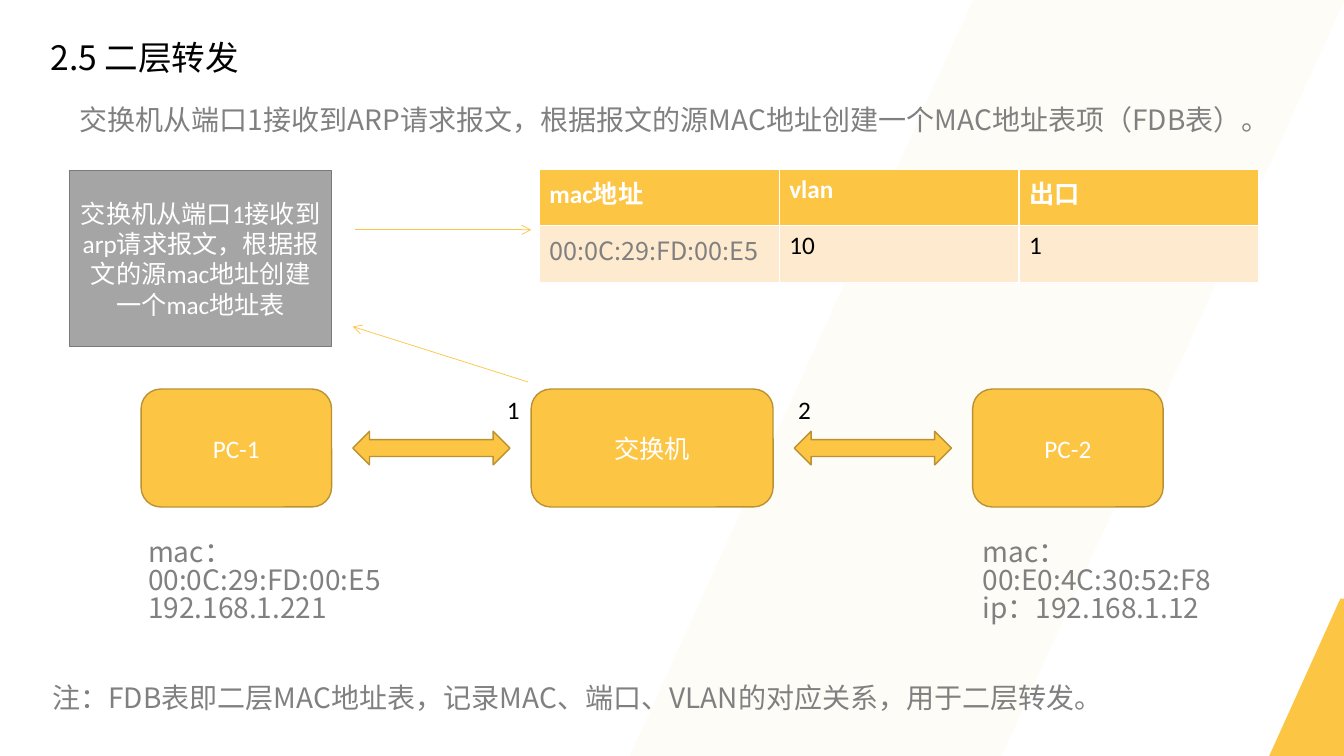
"""Builds the layer-2 forwarding slide: two PCs, a switch and its MAC address table."""
from dataclasses import dataclass
from typing import Optional

from lxml import etree
from pptx import Presentation
from pptx.dml.color import RGBColor
from pptx.enum.shapes import MSO_CONNECTOR, MSO_SHAPE
from pptx.enum.text import MSO_ANCHOR, MSO_AUTO_SIZE, PP_ALIGN
from pptx.oxml.ns import qn
from pptx.util import Inches, Pt

RECTANGLE = MSO_SHAPE.RECTANGLE
ROUNDED = MSO_SHAPE.ROUNDED_RECTANGLE
DOUBLE_ARROW = MSO_SHAPE.LEFT_RIGHT_ARROW
PARALLELOGRAM = MSO_SHAPE.PARALLELOGRAM
STRAIGHT = MSO_CONNECTOR.STRAIGHT
TOP, MIDDLE = MSO_ANCHOR.TOP, MSO_ANCHOR.MIDDLE
LEFT, CENTER = PP_ALIGN.LEFT, PP_ALIGN.CENTER
FIT_TEXT = MSO_AUTO_SIZE.SHAPE_TO_FIT_TEXT

SLIDE_WIDTH, SLIDE_HEIGHT = Inches(13.333), Inches(7.5)
COLUMN, ROW = SLIDE_WIDTH / 160, SLIDE_HEIGHT / 90
TITLE_ONLY_LAYOUT = 5


@dataclass(frozen=True)
class Theme:
    accent: str = "FDC544"
    accent_edge: str = "BB9232"
    accent_tint: str = "FEEACF"
    step: str = "A5A5A5"
    step_edge: str = "7A7A7A"
    muted: str = "808080"
    dark: str = "000000"
    light: str = "FFFFFF"
    latin: str = "Calibri"
    chinese: str = "Noto Sans CJK SC"
    title_size: int = 24
    note_size: int = 20
    label_size: int = 18


THEME = Theme()


@dataclass(frozen=True)
class Area:
    column: float
    row: float
    columns: float
    rows: float

    def box(self) -> tuple[int, int, int, int]:
        return (round(self.column * COLUMN), round(self.row * ROW),
                round(self.columns * COLUMN), round(self.rows * ROW))


@dataclass(frozen=True)
class Style:
    size: int
    font: str
    color: str
    bold: bool = False


@dataclass(frozen=True)
class Block:
    area: Area
    preset: int
    fill: str
    edge: Optional[str] = None
    label: str = ""
    slant: Optional[float] = None


@dataclass(frozen=True)
class Caption:
    area: Area
    text: str


@dataclass(frozen=True)
class Stage:
    columns: float
    rows: float
    preset: int
    label: str = ""


TITLE_STYLE = Style(THEME.title_size, THEME.chinese, THEME.dark)
NOTE_STYLE = Style(THEME.note_size, THEME.chinese, THEME.muted)
BLOCK_STYLE = Style(THEME.label_size, THEME.latin, THEME.light)
PORT_STYLE = Style(THEME.label_size, THEME.latin, THEME.dark)
HEADER_STYLE = Style(THEME.label_size, THEME.latin, THEME.light, True)
ADDRESS_STYLE = Style(THEME.label_size, THEME.chinese, THEME.muted)

TITLE_AREA = Area(4.8, 3.84, 87.4, 6)
DECOR = (
    Block(Area(75, 0, 85.08, 90), PARALLELOGRAM, THEME.accent, slant=0.48),
    Block(Area(151.1, 71.28, 17.64, 18.72), PARALLELOGRAM, THEME.accent, slant=0.48),
)
LEARNING_STEP = Block(Area(8.28, 20.28, 31.2, 21), RECTANGLE, THEME.step, THEME.step_edge,
                      "交换机从端口1接收到arp请求报文，根据报文的源mac地址创建一个mac地址表")

LINK_LEFT, LINK_MIDDLE, LINK_GAP = 16.8, 53.34, 2.52
LINK = (
    Stage(22.68, 14.04, ROUNDED, "PC-1"),
    Stage(18.72, 4, DOUBLE_ARROW),
    Stage(28.8, 14.04, ROUNDED, "交换机"),
    Stage(18.72, 4, DOUBLE_ARROW),
    Stage(22.68, 14.04, ROUNDED, "PC-2"),
)
NOTES = (
    Caption(Area(8.28, 12.24, 145.2, 4.56),
            "交换机从端口1接收到ARP请求报文，根据报文的源MAC地址创建一个MAC地址表项（FDB表）。"),
    Caption(Area(16.44, 63.72, 44.16, 14.64), "mac：\n00:0C:29:FD:00:E5\n192.168.1.221"),
    Caption(Area(115.8, 63.72, 30.84, 14.64), "mac：\n00:E0:4C:30:52:F8\nip：192.168.1.12"),
    Caption(Area(5.04, 81.12, 145.2, 4.56),
            "注：FDB表即二层MAC地址表，记录MAC、端口、VLAN的对应关系，用于二层转发。"),
)
PORTS = (Caption(Area(59.16, 46.32, 4, 4.8), "1"), Caption(Area(93.84, 46.32, 4, 4.8), "2"))
POINTERS = (((62.88, 45.48), (42, 38.88)), ((42.24, 27.36), (63.24, 27.36)))
FDB_AREA = Area(64.2, 20.16, 85.68, 13.44)
FDB_ROWS = (
    (THEME.accent, (("mac地址", HEADER_STYLE), ("vlan", HEADER_STYLE), ("出口", HEADER_STYLE))),
    (THEME.accent_tint,
     (("00:0C:29:FD:00:E5", ADDRESS_STYLE), ("10", PORT_STYLE), ("1", PORT_STYLE))),
)


def write(frame, text: str, style: Style, align: int = LEFT, spacing: Optional[Pt] = None) -> None:
    frame.text = text
    for paragraph in frame.paragraphs:
        paragraph.alignment = align
        if spacing is not None:
            paragraph.line_spacing = spacing
        for run in paragraph.runs:
            font = run.font
            font.size, font.name, font.bold = Pt(style.size), style.font, style.bold
            font.color.rgb = RGBColor.from_string(style.color)
            latin = run._r.rPr.find(qn("a:latin"))
            east_asian = etree.Element(qn("a:ea"), typeface=THEME.chinese)
            latin.addnext(east_asian)


def add_block(slide, block: Block):
    shape = slide.shapes.add_shape(block.preset, *block.area.box())
    shape.shadow.inherit = False
    shape.fill.solid()
    shape.fill.fore_color.rgb = RGBColor.from_string(block.fill)
    if block.edge:
        shape.line.color.rgb = RGBColor.from_string(block.edge)
        shape.line.width = Pt(1)
    else:
        shape.line.fill.background()
    if block.slant is not None:
        shape.adjustments[0] = block.slant
    if block.label:
        shape.text_frame.vertical_anchor = MIDDLE
        write(shape.text_frame, block.label, BLOCK_STYLE, CENTER)
    return shape


def add_caption(slide, caption: Caption, style: Style, wrap: bool,
                spacing: Optional[Pt] = None) -> None:
    frame = slide.shapes.add_textbox(*caption.area.box()).text_frame
    frame.word_wrap = wrap
    frame.auto_size = FIT_TEXT
    write(frame, caption.text, style, spacing=spacing)


def add_pointer(slide, start: tuple[float, float], end: tuple[float, float]) -> None:
    ends = [round(length) for column, row in (start, end) for length in (column * COLUMN, row * ROW)]
    pointer = slide.shapes.add_connector(STRAIGHT, *ends)
    pointer.line.color.rgb = RGBColor.from_string(THEME.accent)
    pointer.line.width = Pt(0.5)
    etree.SubElement(pointer.line._get_or_add_ln(), qn("a:tailEnd"), type="arrow")
    etree.SubElement(pointer._element.spPr, qn("a:effectLst"))


def add_link(slide) -> None:
    column = LINK_LEFT
    for stage in LINK:
        area = Area(column, LINK_MIDDLE - stage.rows / 2, stage.columns, stage.rows)
        add_block(slide, Block(area, stage.preset, THEME.accent, THEME.accent_edge, stage.label))
        column += stage.columns + LINK_GAP


def add_fdb_table(slide) -> None:
    fdb = slide.shapes.add_table(len(FDB_ROWS), len(FDB_ROWS[0][1]), *FDB_AREA.box()).table
    for row, (fill, entries) in enumerate(FDB_ROWS):
        for column, (text, style) in enumerate(entries):
            cell = fdb.cell(row, column)
            cell.fill.solid()
            cell.fill.fore_color.rgb = RGBColor.from_string(fill)
            write(cell.text_frame, text, style)


def main() -> None:
    deck = Presentation()
    deck.slide_width, deck.slide_height = SLIDE_WIDTH, SLIDE_HEIGHT
    slide = deck.slides.add_slide(deck.slide_layouts[TITLE_ONLY_LAYOUT])
    band, _ = [add_block(slide, block) for block in DECOR]
    tint = band.fill._xPr.find(qn("a:solidFill"))[0]
    etree.SubElement(tint, qn("a:alpha"), val="4000")
    title = slide.shapes.title
    title.left, title.top, title.width, title.height = TITLE_AREA.box()
    title.text_frame.vertical_anchor = TOP
    write(title.text_frame, "2.5 二层转发", TITLE_STYLE)
    add_link(slide)
    for note in NOTES:
        add_caption(slide, note, NOTE_STYLE, True, Pt(20))
    for port in PORTS:
        add_caption(slide, port, PORT_STYLE, False)
    add_block(slide, LEARNING_STEP)
    for start, end in POINTERS:
        add_pointer(slide, start, end)
    add_fdb_table(slide)
    deck.save("out.pptx")


if __name__ == "__main__":
    main()
